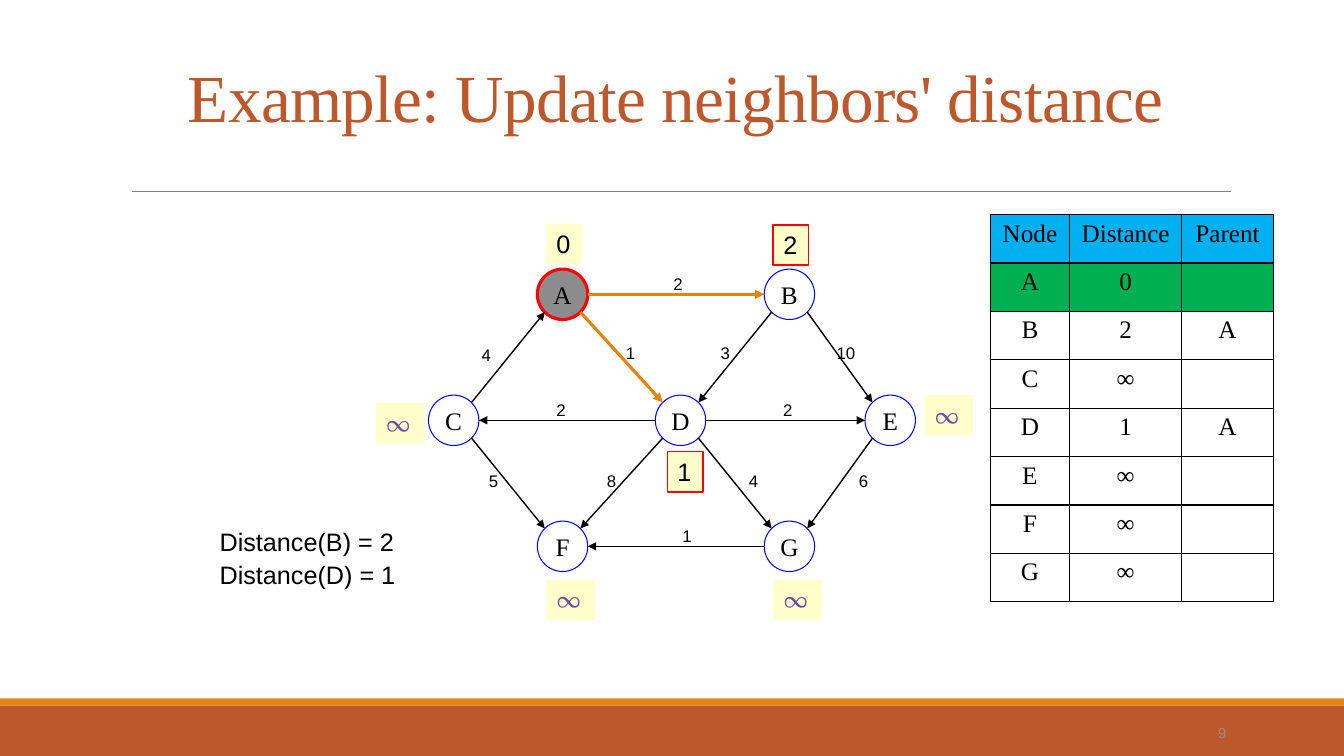
from math import cos, pi
from lxml import etree
from pptx import Presentation
from pptx.dml.color import RGBColor
from pptx.enum.shapes import MSO_CONNECTOR as Connector, MSO_SHAPE as Shape
from pptx.enum.text import MSO_ANCHOR as Anchor, MSO_AUTO_SIZE as AutoSize, PP_ALIGN as Align
from pptx.oxml.ns import qn
from pptx.util import Inches, Pt

BLACK = RGBColor(0x00, 0x00, 0x00)
RUST = RGBColor(0xBD, 0x58, 0x2C)
ORANGE = RGBColor(0xE4, 0x83, 0x12)
GREY = RGBColor(0x80, 0x80, 0x80)
VISITED = RGBColor(0x8C, 0x8C, 0x8C)
NUMBER = RGBColor(0x9C, 0x8C, 0x84)
RED = RGBColor(0xFF, 0x00, 0x00)
BLUE = RGBColor(0x00, 0x00, 0xFF)
CREAM = RGBColor(0xFF, 0xFF, 0xCC)
PURPLE = RGBColor(0x67, 0x4E, 0xA7)
SKY = RGBColor(0x00, 0xB0, 0xF0)
GREEN = RGBColor(0x00, 0xB0, 0x50)

SANS, SERIF, SYMBOL = "Arial", "Times New Roman", "Vollkorn"
RADIUS = 0.25
INFINITY = "∞"

# Node centres
NODES = {"A": (5.58, 2.92), "B": (7.83, 2.92), "C": (4.5, 4.17), "D": (6.75, 4.17),
         "E": (8.83, 4.17), "F": (5.58, 5.42), "G": (7.83, 5.42)}

# Source, target, weight, left and top of the weight label
EDGES = [("A", "B", "2", 6.58, 2.67), ("A", "D", "1", 6.11, 3.35),
         ("C", "A", "4", 4.68, 3.37), ("B", "D", "3", 7.05, 3.35),
         ("B", "E", "10", 8.2, 3.35), ("D", "C", "2", 5.42, 3.92),
         ("D", "E", "2", 7.67, 3.92), ("C", "F", "5", 4.75, 4.62),
         ("D", "F", "8", 5.92, 4.62), ("D", "G", "4", 7.33, 4.62),
         ("E", "G", "6", 8.42, 4.62), ("G", "F", "1", 6.67, 5.17)]

# Distance tag, left and top, whether just updated
TAGS = [("0", 5.42, 2.22, False), ("2", 7.67, 2.23, True), ("1", 6.62, 4.48, True),
        (INFINITY, 3.73, 4, False), (INFINITY, 9.17, 3.92, False),
        (INFINITY, 5.42, 5.75, False), (INFINITY, 7.67, 5.75, False)]

ROWS = [("Node", "Distance", "Parent"), ("A", "0", ""), ("B", "2", "A"),
        ("C", INFINITY, ""), ("D", "1", "A"), ("E", INFINITY, ""),
        ("F", INFINITY, ""), ("G", INFINITY, "")]


class GraphPage:
    def __init__(self, page):
        self.shapes = page.shapes

    def add_span(self, frame, text, size, font, color, align=None):
        para = frame.paragraphs[0]
        para.alignment = align
        span = para.add_run()
        span.text = text
        span.font.size = Pt(size)
        span.font.name = font
        span.font.color.rgb = color
        return para, span

    def text(self, box, text, size, font=SANS, color=BLACK, align=None,
             anchor=Anchor.TOP, wrap=True, grow=False):
        frame = self.shapes.add_textbox(*map(Inches, box)).text_frame
        frame.word_wrap = wrap
        frame.vertical_anchor = anchor
        frame.auto_size = AutoSize.SHAPE_TO_FIT_TEXT if grow else AutoSize.NONE
        return self.add_span(frame, text, size, font, color, align)

    def shape(self, kind, box, fill=None, line=None, width=0.75):
        shape = self.shapes.add_shape(kind, *map(Inches, box))
        shape.shadow.inherit = False
        if fill is None:
            shape.fill.background()
        else:
            shape.fill.solid()
            shape.fill.fore_color.rgb = fill
        if line is None:
            shape.line.fill.background()
        else:
            shape.line.color.rgb = line
            shape.line.width = Pt(width)
        return shape

    def node(self, name, fill=None, line=BLUE, width=0.75):
        x, y = NODES[name]
        circle = self.shape(Shape.OVAL, (x - RADIUS, y - RADIUS, 2 * RADIUS, 2 * RADIUS),
                            fill, line, width)
        circle.text_frame.word_wrap = False
        circle.text_frame.vertical_anchor = Anchor.MIDDLE
        self.add_span(circle.text_frame, name, 18, SERIF, BLACK, Align.CENTER)

    def tag(self, text, left, top, updated):
        unknown = text == INFINITY
        tag = self.shape(Shape.RECTANGLE, (left, top, 0.48 if unknown else 0.35, 0.4),
                         CREAM, RED if updated else None, 1.25)
        frame = tag.text_frame
        frame.word_wrap = False
        frame.vertical_anchor = Anchor.TOP
        self.add_span(frame, text, 18, SYMBOL if unknown else SANS,
                      PURPLE if unknown else BLACK, Align.LEFT)

    def line(self, start, end, color, width, arrow=False):
        line = self.shapes.add_connector(Connector.STRAIGHT, *map(Inches, start + end))
        line.line.color.rgb = color
        line.line.width = Pt(width)
        properties = line._element.spPr
        if arrow:
            etree.SubElement(properties.get_or_add_ln(), qn("a:tailEnd"), type="triangle")
        etree.SubElement(properties, qn("a:effectLst"))

    def edge(self, source, target, color=BLACK, width=1):
        (x1, y1), (x2, y2) = NODES[source], NODES[target]
        across = 1 if x2 > x1 else -1
        down = (y2 > y1) - (y2 < y1)
        reach = RADIUS * cos(pi / 4) if down else RADIUS
        dx, dy = across * reach, down * reach
        self.line((x1 + dx, y1 + dy), (x2 - dx, y2 - dy), color, width, arrow=True)

    def table(self, box, widths, rows, row_fills):
        table = self.shapes.add_table(len(rows), len(widths), *map(Inches, box)).table
        table.first_row = table.horz_banding = False
        for column, width in zip(table.columns, widths):
            column.width = Inches(width)
        for r, row in enumerate(rows):
            for c, text in enumerate(row):
                cell = table.cell(r, c)
                if text:
                    self.add_span(cell.text_frame, text, 18, SERIF, BLACK, Align.CENTER)
                self.borders(cell)
                if r in row_fills:
                    cell.fill.solid()
                    cell.fill.fore_color.rgb = row_fills[r]
                else:
                    cell.fill.background()

    def borders(self, cell):
        properties = cell._tc.get_or_add_tcPr()
        for side in ("a:lnL", "a:lnR", "a:lnT", "a:lnB"):
            border = etree.SubElement(properties, qn(side), w=str(Pt(1)))
            fill = etree.SubElement(border, qn("a:solidFill"))
            etree.SubElement(fill, qn("a:srgbClr"), val=str(BLACK))


def main():
    deck = Presentation()
    deck.slide_width, deck.slide_height = Inches(13.33), Inches(7.5)
    page = GraphPage(deck.slides.add_slide(deck.slide_layouts[6]))

    # Footer bands, rule and page number
    page.shape(Shape.RECTANGLE, (0, 7, 13.33, 0.5), RUST)
    page.shape(Shape.RECTANGLE, (0, 6.93, 13.33, 0.07), ORANGE)
    page.line((1.31, 1.9), (12.21, 1.9), GREY, 0.5)
    page.text((11.2, 7.07, 1.06, 0.4), "9", 10.5, color=NUMBER,
              align=Align.RIGHT, anchor=Anchor.MIDDLE)

    # Title
    para, span = page.text((1.2, 0.5, 11, 0.9), "Example: Update neighbors' distance",
                           48, SERIF, RUST, Align.CENTER, Anchor.BOTTOM)
    para.line_spacing = 0.85
    span._r.get_or_add_rPr().set("spc", "-50")

    # Graph: node A is visited, its outgoing edges are highlighted
    for name in NODES:
        if name == "A":
            page.node(name, VISITED, RED, 2.25)
        else:
            page.node(name)
    for source, target, weight, left, top in EDGES:
        if source == "A":
            page.edge(source, target, ORANGE, 2.25)
        else:
            page.edge(source, target)
        page.text((left, top, 0.2 + 0.1 * len(weight), 0.3), weight, 12,
                  anchor=Anchor.MIDDLE, wrap=False, grow=True)
    for tag in TAGS:
        page.tag(*tag)

    # Updated distances
    for top, name, distance in ((5.17, "B", 2), (5.5, "D", 1)):
        page.text((2.08, top, 2.13, 0.4), f"Distance({name}) = {distance}", 18, grow=True)

    # Distance table
    page.table((9.82, 2.13, 2.81, 3.84), (0.79, 1.11, 0.91), ROWS, {0: SKY, 1: GREEN})

    deck.save("out.pptx")


if __name__ == "__main__":
    main()
